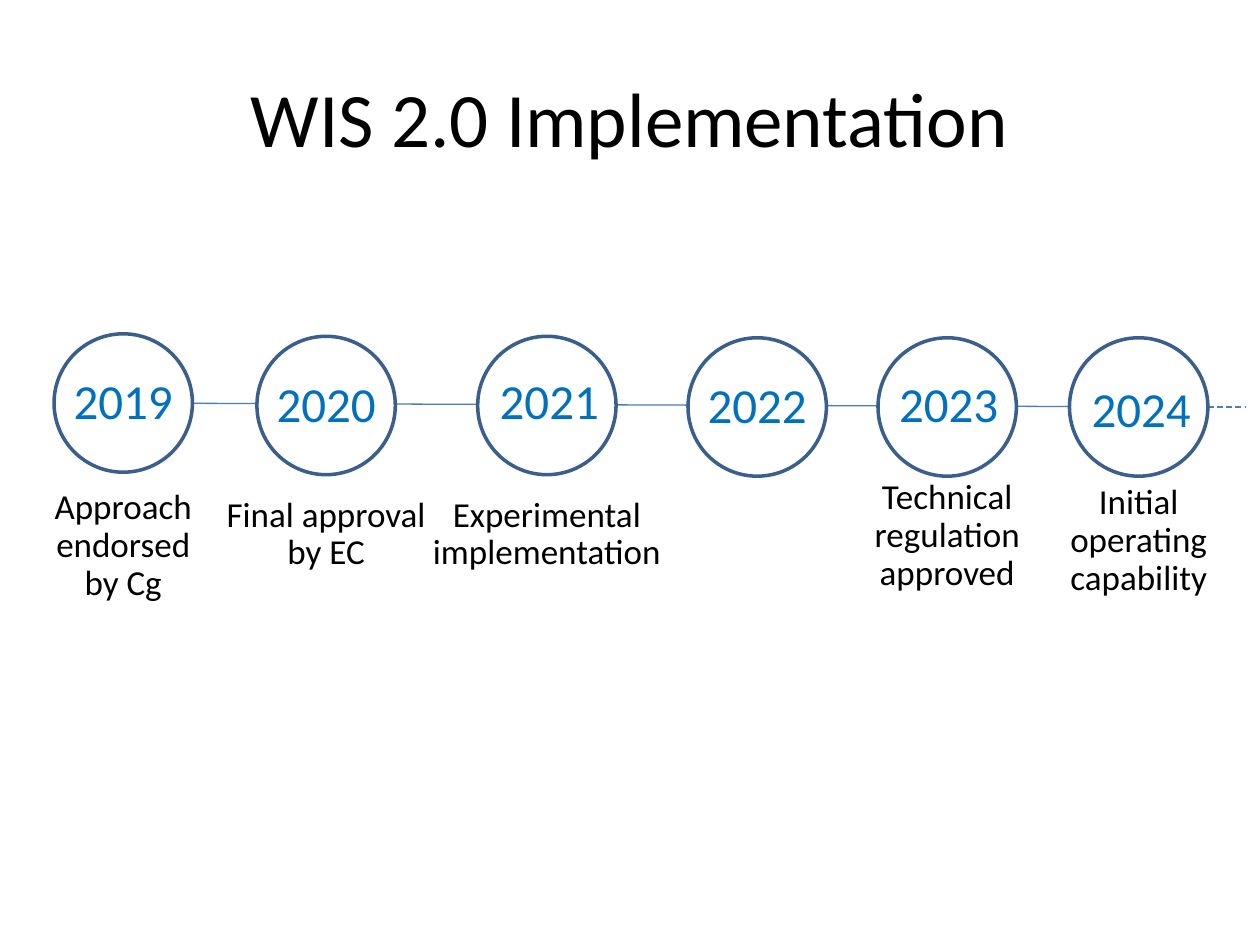
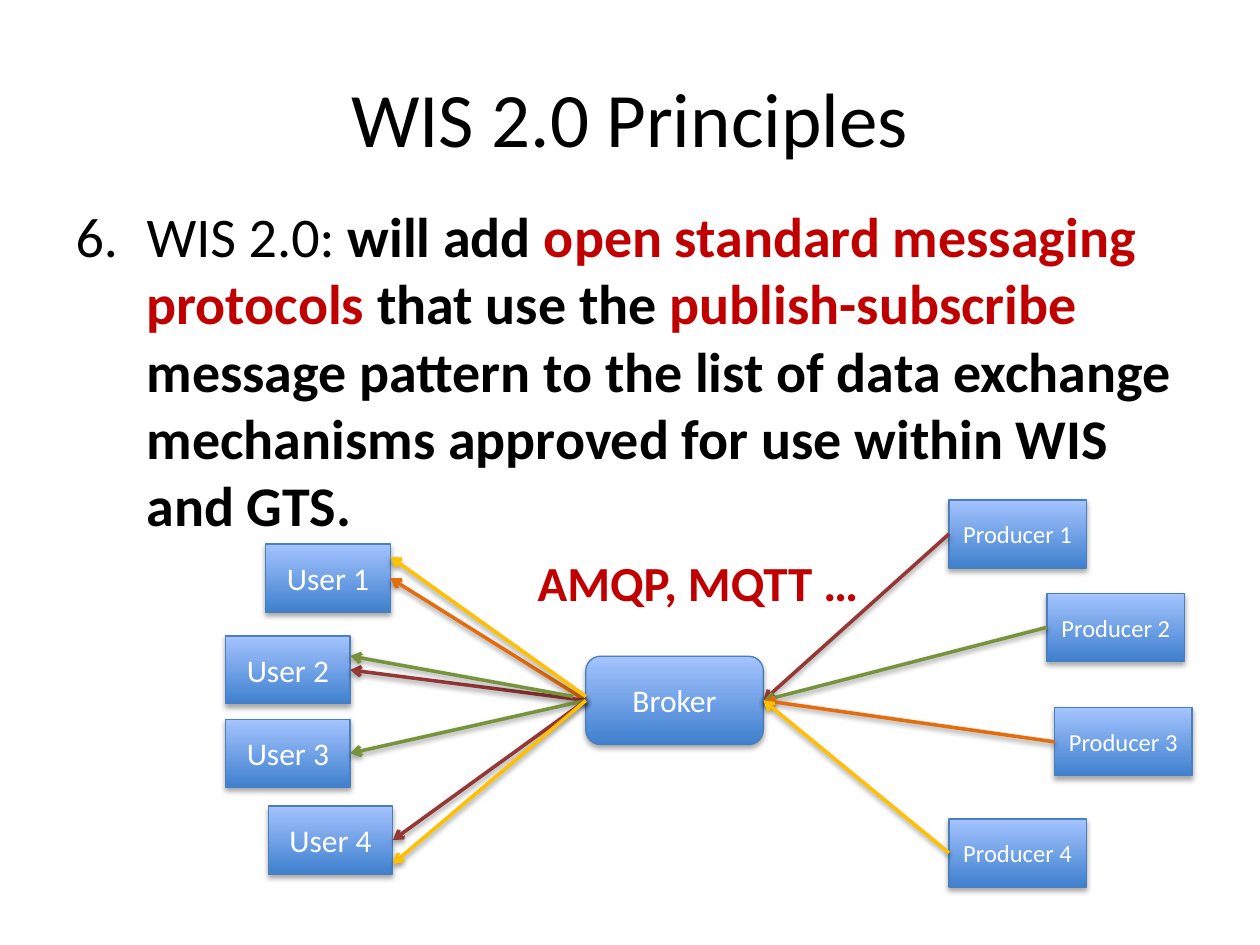
from collections import namedtuple

from lxml.etree import SubElement
from pptx import Presentation
from pptx.dml.color import RGBColor
from pptx.enum.dml import MSO_LINE
from pptx.enum.shapes import MSO_CONNECTOR, MSO_SHAPE
from pptx.enum.text import MSO_ANCHOR, PP_ALIGN
from pptx.oxml.ns import qn
from pptx.util import Cm, Pt

FONT = "Calibri"
BLACK, WHITE, ACCENT = "000000", "FFFFFF", "C00000"
LINE_BLUE, RING_BLUE, YEAR_BLUE = "4B7EBC", "3A5F8C", "0070C0"
NODE_DARK, NODE_LIGHT = "3F80CE", "A4C4FF"
RED, GREEN, ORANGE, YELLOW = "953735", "77933C", "E46C0A", "FFC000"

Box = namedtuple("Box", "left top width height")
TITLE_BOX = Box(1.27, 0.76, 22.86, 3.18)
BODY_BOX = Box(1.27, 3.94, 22.86, 12.57)
TIMELINE_BOX = Box(1.09, 6.73, 24.01, 6.1)
DIAGRAM_BOX = Box(4.55, 10.08, 19.48, 7.8)

RING = 2.79
# year, ring left, ring top, year left and top inside the timeline box
MILESTONES = [
    ("2019", 0, 0, 0, 0.64),
    ("2020", 4.09, 0.05, 4.09, 0.69),
    ("2021", 8.54, 0.05, 8.59, 0.64),
    ("2022", 12.78, 0.08, 12.78, 0.71),
    ("2023", 16.61, 0.08, 16.64, 0.69),
    ("2024", 20.47, 0.08, 20.52, 0.79),
]
# year: caption, top, width
CAPTIONS = {
    "2019": ("Approach endorsed by Cg", 2.44, 3.78),
    "2020": ("Final approval by EC", 2.21, 4.88),
    "2021": ("Experimental implementation", 2.21, 5.59),
    "2023": ("Technical regulation approved", 2.24, 4.88),
    "2024": ("Initial operating capability", 2.34, 4.88),
}

PRINCIPLE = [
    ("WIS 2.0: ", BLACK, False),
    ("will add ", BLACK, True),
    ("open standard messaging protocols", ACCENT, True),
    (" that use the ", BLACK, True),
    ("publish-subscribe ", ACCENT, True),
    ("message pattern to the list of data exchange mechanisms approved "
     "for use within WIS and GTS.", BLACK, True),
]

NODE_HEIGHT, USER_WIDTH, PRODUCER_WIDTH = 1.37, 2.51, 2.77
BROKER = Box(7.26, 3.15, 3.58, 1.78)
USERS = [(0.81, 0.89), (0, 2.74), (0, 4.42), (0.86, 6.17)]
PRODUCERS = [(14.58, 0, RED), (16.56, 1.88, GREEN),
             (16.71, 4.19, ORANGE), (14.58, 6.43, YELLOW)]
# user number, colour, shift of the arrow's end, shift of its start (x, y)
DELIVERIES = [
    (1, ORANGE, 0, (0, 0)),
    (2, RED, 0, (0, 0)),
    (3, GREEN, 0, (0, 0)),
    (4, RED, 0, (0, 0)),
    (1, YELLOW, -0.43, (0, -0.08)),
    (2, GREEN, -0.28, (-0.25, -0.08)),
    (4, YELLOW, 0.48, (0, 0)),
]


def rgb(value):
    return RGBColor.from_string(value)


def apply(target, values):
    for name, value in values.items():
        setattr(target, name, value)


def within(region, left, top, width, height):
    """Turn a place inside a region into a place on the slide."""
    return Box(region.left + left, region.top + top, width, height)


def add_run(paragraph, text, size, colour, bold=False):
    run = paragraph.add_run()
    run.text = text
    apply(run.font, {"name": FONT, "size": Pt(size), "bold": bold})
    run.font.color.rgb = rgb(colour)


def place(placeholder, box):
    apply(placeholder, {side: Cm(value) for side, value in box._asdict().items()})


def add_label(slide, box, text, size, colour, bold=False, **paragraph_format):
    frame = slide.shapes.add_textbox(*map(Cm, box)).text_frame
    frame.word_wrap = True
    paragraph = frame.paragraphs[0]
    if paragraph_format:
        frame.vertical_anchor = MSO_ANCHOR.MIDDLE
        apply(paragraph, paragraph_format)
    add_run(paragraph, text, size, colour, bold)


def add_effects(shape, opacity=None, distance=0):
    """Replace the theme's shadow by a soft one below, or by none."""
    properties = shape._element.spPr
    effects = SubElement(properties, qn("a:effectLst"))
    if opacity:
        shadow = SubElement(effects, qn("a:outerShdw"), blurRad="40000",
                            dist=str(distance), dir="5400000", rotWithShape="0")
        black = SubElement(shadow, qn("a:srgbClr"), val=BLACK)
        SubElement(black, qn("a:alpha"), val=str(opacity * 1000))


def add_line(slide, start, end, colour, width):
    line = slide.shapes.add_connector(MSO_CONNECTOR.STRAIGHT,
                                      *map(Cm, (*start, *end)))
    line.line.color.rgb = rgb(colour)
    line.line.width = Pt(width)
    return line


def add_arrow(slide, start, end, colour):
    arrow = add_line(slide, start, end, colour, 2)
    SubElement(arrow.line._get_or_add_ln(), qn("a:tailEnd"), type="arrow")
    add_effects(arrow, 38, 20000)


def add_node(slide, box, text, size, preset=MSO_SHAPE.RECTANGLE):
    """Add a shaded box with a caption to the message diagram."""
    node = slide.shapes.add_shape(preset, *map(Cm, box))
    node.fill.gradient()
    node.fill.gradient_angle = 90
    for stop, colour, position in zip(node.fill.gradient_stops,
                                      (NODE_DARK, NODE_LIGHT), (0, 1)):
        stop.color.rgb = rgb(colour)
        stop.position = position
    node.line.color.rgb = rgb(LINE_BLUE)
    node.line.width = Pt(0.75)
    add_effects(node, 35, 23000)
    frame = node.text_frame
    apply(frame, {"word_wrap": False, "vertical_anchor": MSO_ANCHOR.MIDDLE})
    frame.paragraphs[0].alignment = PP_ALIGN.CENTER
    add_run(frame.paragraphs[0], text, size, WHITE)


def add_titled_slide(deck, layout, title):
    slide = deck.slides.add_slide(deck.slide_layouts.get_by_name(layout))
    place(slide.shapes.title, TITLE_BOX)
    frame = slide.shapes.title.text_frame
    frame.vertical_anchor = MSO_ANCHOR.MIDDLE
    frame.paragraphs[0].alignment = PP_ALIGN.CENTER
    add_run(frame.paragraphs[0], title, 44, BLACK)
    return slide


def add_timeline(slide, region):
    axis_start = region.left + RING / 2, region.top + RING / 2
    axis_end = region.left + 23.27, axis_start[1] + 0.08
    add_effects(add_line(slide, axis_start, axis_end, LINE_BLUE, 0.75))
    outlook = add_line(slide, axis_end, (region.left + region.width, axis_end[1]),
                       LINE_BLUE, 0.75)
    outlook.line.dash_style = MSO_LINE.DASH
    add_effects(outlook)

    centred = {"alignment": PP_ALIGN.CENTER, "line_spacing": 0.9}
    for year, left, top, year_left, year_top in MILESTONES:
        ring = slide.shapes.add_shape(
            MSO_SHAPE.OVAL, *map(Cm, within(region, left, top, RING, RING)))
        ring.shadow.inherit = False
        ring.fill.solid()
        ring.fill.fore_color.rgb = rgb(WHITE)
        ring.line.color.rgb = rgb(RING_BLUE)
        ring.line.width = Pt(2)
        add_label(slide, within(region, year_left, year_top, RING, 1.55),
                  year, 28, YEAR_BLUE, **centred)
        if year in CAPTIONS:
            caption, caption_top, width = CAPTIONS[year]
            caption_left = left + (RING - width) / 2
            add_label(slide, within(region, caption_left, caption_top, width, 3.68),
                      caption, 20, BLACK, **centred)


def add_principle(slide, box, number):
    body = slide.placeholders[1]
    place(body, box)
    paragraph = body.text_frame.paragraphs[0]
    paragraph.space_before = Pt(0)
    properties = paragraph._p.get_or_add_pPr()
    indent = Cm(1.43)
    properties.set("marL", str(indent))
    properties.set("indent", str(-indent))
    SubElement(properties, qn("a:buFont"), typeface="+mj-lt")
    SubElement(properties, qn("a:buAutoNum"), type="arabicPeriod",
               startAt=str(number))
    for text, colour, bold in PRINCIPLE:
        add_run(paragraph, text, 32, colour, bold)


def add_message_diagram(slide, region):
    add_label(slide, within(region, 6.04, 0.94, 11.3, 1.45),
              "AMQP, MQTT …", 28, ACCENT, bold=True)
    users = [within(region, left, top, USER_WIDTH, NODE_HEIGHT)
             for left, top in USERS]
    producers = [within(region, left, top, PRODUCER_WIDTH, NODE_HEIGHT)
                 for left, top, _ in PRODUCERS]
    broker = within(region, *BROKER)
    for number, user in enumerate(users, 1):
        add_node(slide, user, f"User {number}", 18)
    add_node(slide, broker, "Broker", 18, MSO_SHAPE.ROUNDED_RECTANGLE)
    for number, producer in enumerate(producers, 1):
        add_node(slide, producer, f"Producer {number}", 14)

    broker_middle = broker.top + broker.height / 2
    for producer, (_, _, colour) in zip(producers, PRODUCERS):
        add_arrow(slide, (producer.left, producer.top + NODE_HEIGHT / 2),
                  (broker.left + broker.width, broker_middle), colour)
    for number, colour, end_shift, (shift_x, shift_y) in DELIVERIES:
        user = users[number - 1]
        add_arrow(slide, (broker.left + shift_x, broker_middle + shift_y),
                  (user.left + USER_WIDTH, user.top + NODE_HEIGHT / 2 + end_shift),
                  colour)


def main():
    deck = Presentation()
    deck.slide_width, deck.slide_height = Cm(25.4), Cm(19.05)

    implementation = add_titled_slide(deck, "Title Only", "WIS 2.0 Implementation")
    add_timeline(implementation, TIMELINE_BOX)

    principles = add_titled_slide(deck, "Title and Content", "WIS 2.0 Principles")
    add_principle(principles, BODY_BOX, 6)
    add_message_diagram(principles, DIAGRAM_BOX)

    deck.save("out.pptx")


if __name__ == "__main__":
    main()
